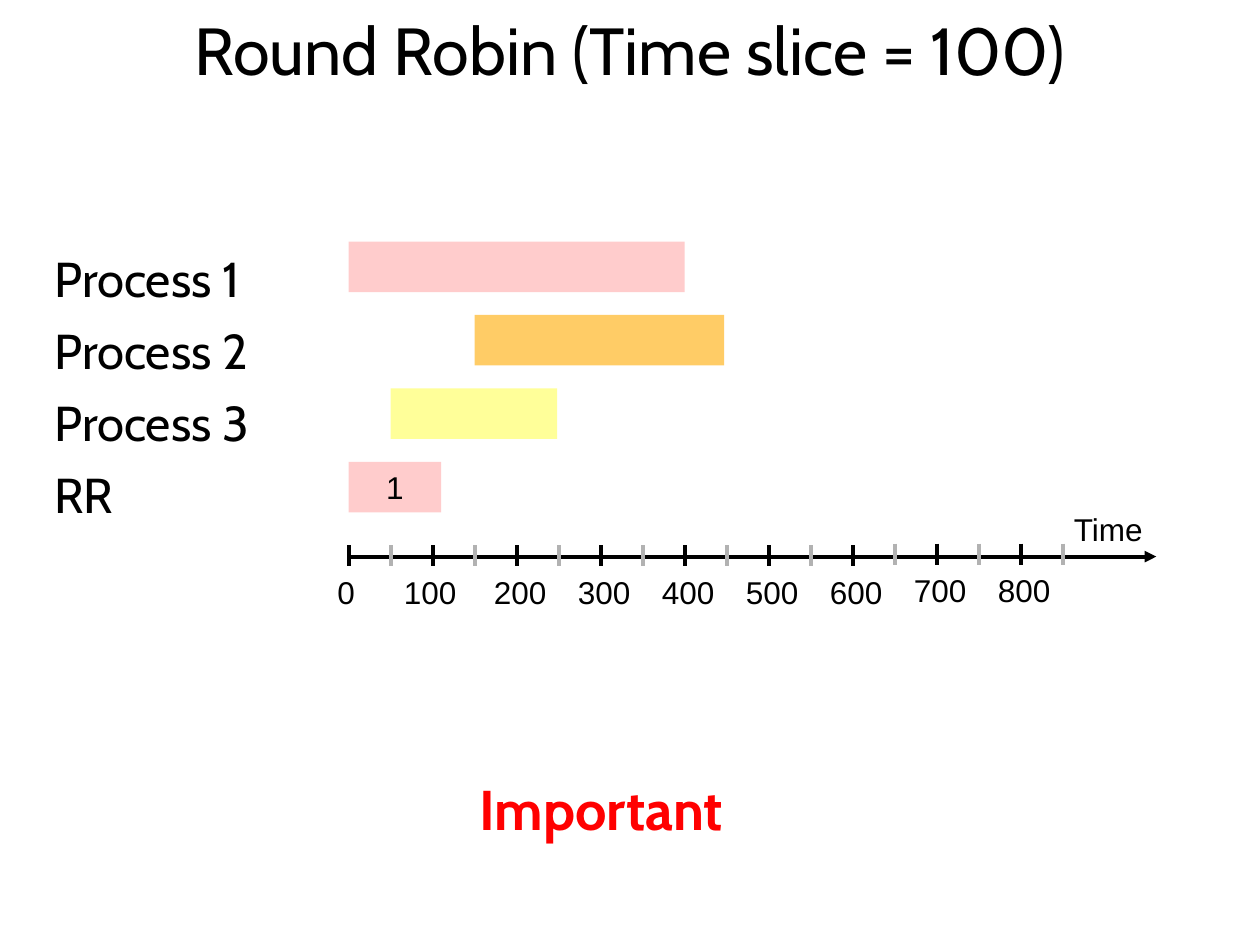
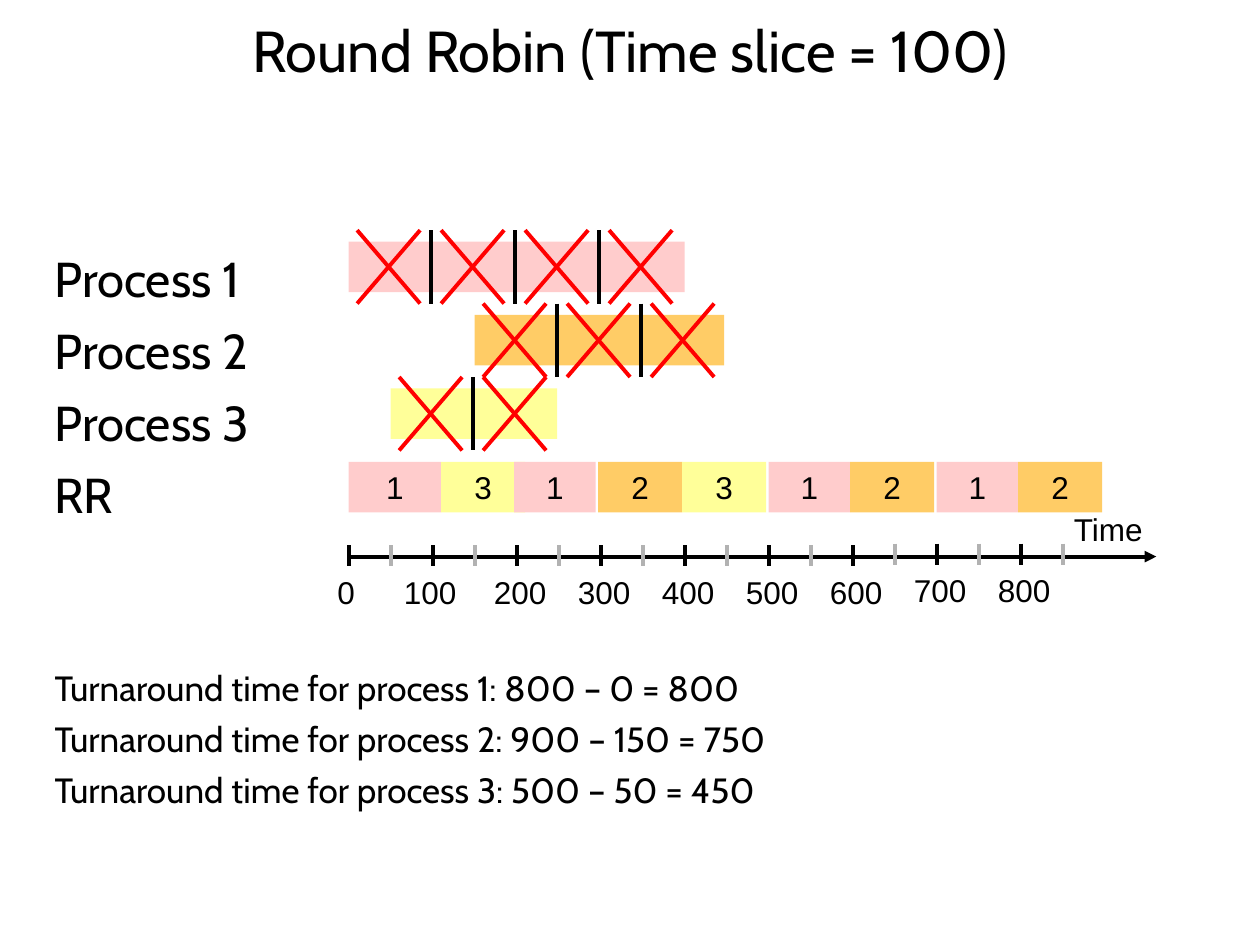
from dataclasses import dataclass

from lxml.etree import SubElement
from pptx import Presentation
from pptx.dml.color import RGBColor
from pptx.enum.shapes import MSO_CONNECTOR, MSO_SHAPE
from pptx.enum.text import MSO_ANCHOR, PP_ALIGN
from pptx.oxml.ns import qn
from pptx.util import Cm, Pt

COLOURS = {
    "text": "000000",
    "alert": "FF0000",
    "minor tick": "B2B2B2",
    1: "FFCCCC",
    2: "FFCC66",
    3: "FFFF99",
}
BODY_FONT, CHART_FONT = "Cabin", "Arial"
SLIDE_WIDTH, SLIDE_HEIGHT = 25.4, 19.05
MARGIN, TEXT_WIDTH = 0.85, 23.7

# Time scale and rows, in centimetres
UNIT = SLIDE_WIDTH / 1500
ROW_PITCH, BAR_HEIGHT, ROW_OVERHANG = 1.48, 1.02, 0.23

# Process: (arrival, drawn length, number of slices)
PROCESSES = {1: (0, 400, 4), 2: (150, 297, 3), 3: (50, 198, 2)}

# Scheduled slices: (process, start, drawn length)
SCHEDULE = [
    (1, 0, 110), (3, 110, 100), (1, 197, 97),
    (2, 297, 100), (3, 397, 100), (1, 500, 97),
    (2, 597, 100), (1, 700, 97), (2, 797, 100),
]
TURNAROUNDS = [
    "Turnaround time for process 1: 800 – 0 = 800",
    "Turnaround time for process 2: 900 – 150 = 750",
    "Turnaround time for process 3: 500 – 50 = 450",
]


@dataclass
class Box:
    left: float
    top: float
    width: float
    height: float

    def lengths(self):
        return [Cm(n) for n in (self.left, self.top, self.width, self.height)]


TITLE_BOX = Box(MARGIN, 0, TEXT_WIDTH, 2.16)
LABELS_BOX = Box(MARGIN, 4.88, TEXT_WIDTH, 6)
ROWS_BOX = Box(7.03, 4.87, 16.28, 4 * ROW_PITCH)
AXIS_BOX = Box(7.03, 10.16, 16.28, 2.3)
TURNAROUND_BOX = Box(MARGIN, 13.41, TEXT_WIDTH, 3.7)
IMPORTANT_BOX = Box(9.42, 15.49, 6.55, 1.63)


def colour(name):
    return RGBColor.from_string(COLOURS[name])


def write_text(frame, text, size=18, font=CHART_FONT, ink="text", bold=False,
               align=PP_ALIGN.LEFT, anchor=MSO_ANCHOR.TOP, wrap=True,
               line_spacing=None, space_before=0):
    frame.word_wrap = wrap
    frame.vertical_anchor = anchor
    for index, line in enumerate(text.split("\n")):
        para = frame.paragraphs[0] if index == 0 else frame.add_paragraph()
        para.alignment = align
        if line_spacing:
            para.line_spacing = line_spacing
        if index and space_before:
            para.space_before = Pt(space_before)
        span = para.add_run()
        span.text = line
        span.font.name = font
        span.font.size = Pt(size)
        span.font.bold = bold
        span.font.color.rgb = colour(ink)


def add_text(page, box, text, **text_format):
    frame = page.shapes.add_textbox(*box.lengths()).text_frame
    write_text(frame, text, **text_format)


def add_bar(page, box, process, label=None):
    bar = page.shapes.add_shape(MSO_SHAPE.RECTANGLE, *box.lengths())
    bar.shadow.inherit = False
    bar.fill.solid()
    bar.fill.fore_color.rgb = colour(process)
    bar.line.fill.background()
    if label:
        write_text(bar.text_frame, label, align=PP_ALIGN.CENTER,
                   anchor=MSO_ANCHOR.MIDDLE)


def add_line(page, x1, y1, x2, y2, ink="text", arrow=False):
    line = page.shapes.add_connector(
        MSO_CONNECTOR.STRAIGHT, Cm(x1), Cm(y1), Cm(x2), Cm(y2))
    line.line.width = Pt(2.25)
    line.line.color.rgb = colour(ink)
    if arrow:
        SubElement(line.line._get_or_add_ln(), qn("a:tailEnd"), type="triangle")
    SubElement(line._element.spPr, qn("a:effectLst"))


def add_title(page, box, size):
    add_text(page, box, "Round Robin (Time slice = 100)", size=size,
             font=BODY_FONT, align=PP_ALIGN.CENTER, anchor=MSO_ANCHOR.MIDDLE,
             line_spacing=0.9)


def add_row_labels(page, box):
    names = [f"Process {process}" for process in PROCESSES] + ["RR"]
    add_text(page, box, "\n".join(names), size=28, font=BODY_FONT,
             space_before=7.5)


def add_axis(page, box):
    axis_y = box.top + 1.06
    add_line(page, box.left, axis_y, box.left + box.width, axis_y, arrow=True)
    add_text(page, Box(box.left + 14.37, box.top, 1.93, 1.02), "Time",
             wrap=False)
    for time in range(0, 851, 50):
        x = box.left + time * UNIT
        # The last ticks and labels sit slightly higher
        tick_top = box.top + (0.83 if time <= 600 else 0.8)
        major = time % 100 == 0
        add_line(page, x, tick_top, x, tick_top + 0.42,
                 ink="text" if major else "minor tick")
        if major:
            nudge = -0.05 if time <= 100 else 0.07
            label_box = Box(x + nudge - 0.79, tick_top + 0.43, 1.58, 1.02)
            add_text(page, label_box, str(time), align=PP_ALIGN.CENTER,
                     wrap=False)


def add_process_rows(page, box, crossed):
    for row, (process, (arrival, length, slices)) in enumerate(PROCESSES.items()):
        left, top = box.left + arrival * UNIT, box.top + row * ROW_PITCH
        add_bar(page, Box(left, top, length * UNIT, BAR_HEIGHT), process)
        if crossed:
            band = Box(left, top - ROW_OVERHANG, length * UNIT, ROW_PITCH)
            add_slice_crosses(page, band, slices)


def add_slice_crosses(page, box, slices):
    bottom = box.top + box.height
    for index in range(slices):
        start = box.left + index * 100 * UNIT
        left, right = start + 10 * UNIT, start + 85 * UNIT
        add_line(page, right, box.top, left, bottom, ink="alert")
        add_line(page, left, box.top, right, bottom, ink="alert")
        if index < slices - 1:
            divider = start + 97.5 * UNIT
            add_line(page, divider, box.top, divider, bottom)


def add_schedule(page, box, schedule):
    top = box.top + len(PROCESSES) * ROW_PITCH
    for process, start, length in schedule:
        add_bar(page, Box(box.left + start * UNIT, top, length * UNIT, BAR_HEIGHT),
                process, label=str(process))


def add_timeline_slide(deck, title_size, schedule, crossed):
    page = deck.slides.add_slide(deck.slide_layouts[6])
    add_title(page, TITLE_BOX, title_size)
    add_row_labels(page, LABELS_BOX)
    add_axis(page, AXIS_BOX)
    add_process_rows(page, ROWS_BOX, crossed)
    add_schedule(page, ROWS_BOX, schedule)
    return page


def main():
    deck = Presentation()
    deck.slide_width, deck.slide_height = Cm(SLIDE_WIDTH), Cm(SLIDE_HEIGHT)

    # First slice only
    page = add_timeline_slide(deck, 38, SCHEDULE[:1], crossed=False)
    add_text(page, IMPORTANT_BOX, "Important", size=32, font=BODY_FONT,
             ink="alert", bold=True)

    # Full schedule with turnaround times
    page = add_timeline_slide(deck, 33, SCHEDULE, crossed=True)
    add_text(page, TURNAROUND_BOX, "\n".join(TURNAROUNDS), size=20,
             font=BODY_FONT, line_spacing=0.9, space_before=7.5)

    deck.save("out.pptx")


if __name__ == "__main__":
    main()
